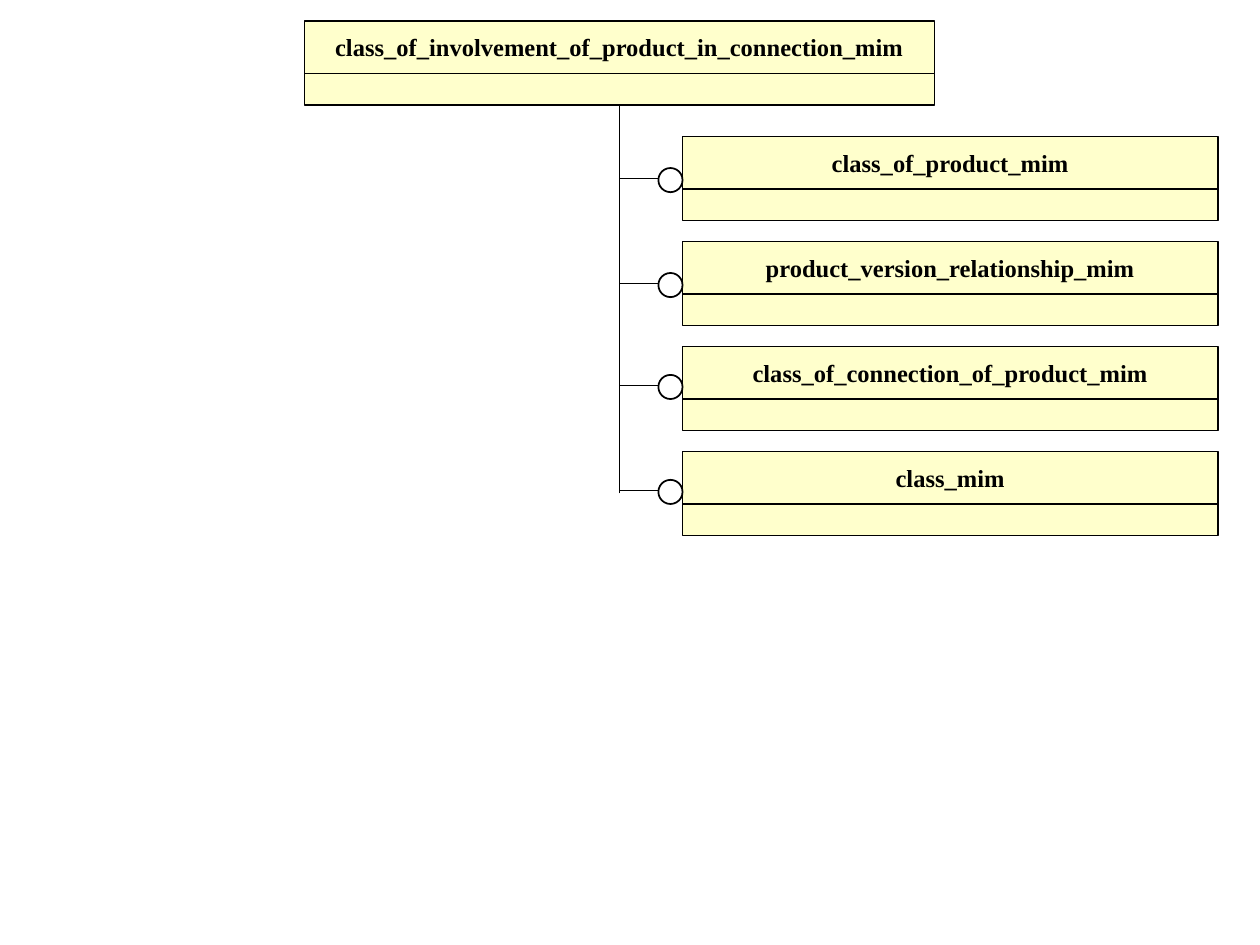
from dataclasses import dataclass

from pptx import Presentation
from pptx.dml.color import RGBColor
from pptx.enum.shapes import MSO_CONNECTOR, MSO_SHAPE
from pptx.enum.text import MSO_ANCHOR, PP_ALIGN
from pptx.oxml.ns import qn
from pptx.shapes.autoshape import Shape
from pptx.shapes.connector import Connector
from pptx.slide import Slide
from pptx.util import Emu, Pt

PX = 7620
BLACK, WHITE, CREAM = "000000", "FFFFFF", "FFFFCC"
NAME_H, BODY_H = 50, 30
TRUNK_X, TRUNK_END = 590, 470
CHILD_X, CHILD_Y, CHILD_W, PITCH = 650, 130, 510, 100
CIRCLE_D = 23


@dataclass
class Entity:
    name: str
    x: int
    y: int
    w: int


@dataclass
class Child:
    name: str
    circle_dy: int


ROOT = Entity("class_of_involvement_of_product_in_connection_mim", 290, 20, 600)
CHILDREN = [
    Child("class_of_product_mim", 30),
    Child("product_version_relationship_mim", 30),
    Child("class_of_connection_of_product_mim", 27),
    Child("class_mim", 27),
]


def px(n: int) -> Emu:
    """Turn pixels into EMU."""
    return Emu(n * PX)


def rgb(color: str) -> RGBColor:
    """Turn a hex string into a colour."""
    return RGBColor.from_string(color)


def add_shape(shapes, kind: MSO_SHAPE, x: int, y: int, w: int, h: int,
              fill: str, line_pt: float = 0.75) -> Shape:
    """Draw a filled, black-outlined shape without a shadow."""
    sp = shapes.add_shape(kind, px(x), px(y), px(w), px(h))
    sp.shadow.inherit = False
    sp.fill.solid()
    sp.fill.fore_color.rgb = rgb(fill)
    sp.line.color.rgb = rgb(BLACK)
    sp.line.width = Pt(line_pt)
    return sp


def add_line(s: Slide, x1: int, y1: int, x2: int, y2: int) -> Connector:
    """Draw a thin black straight connector."""
    c = s.shapes.add_connector(MSO_CONNECTOR.STRAIGHT, px(x1), px(y1), px(x2), px(y2))
    c.line.color.rgb = rgb(BLACK)
    c.line.width = Pt(0.75)
    sp_pr = c._element.spPr
    sp_pr.append(sp_pr.makeelement(qn("a:effectLst"), {}))
    return c


def add_entity(s: Slide, e: Entity) -> Shape:
    """Draw an entity as a grouped name box and body box; return the body."""
    shapes = s.shapes.add_group_shape().shapes
    sp = add_shape(shapes, MSO_SHAPE.RECTANGLE, e.x, e.y, e.w, NAME_H, CREAM)
    tf = sp.text_frame
    tf.text = e.name
    tf.word_wrap = False
    tf.vertical_anchor = MSO_ANCHOR.MIDDLE
    p = tf.paragraphs[0]
    p.alignment = PP_ALIGN.CENTER
    font = p.runs[0].font
    font.name, font.size, font.bold = "Times New Roman", Pt(14), True
    font.color.rgb = rgb(BLACK)
    return add_shape(shapes, MSO_SHAPE.RECTANGLE, e.x, e.y + NAME_H, e.w, BODY_H, CREAM)


def add_branch(s: Slide, circle_y: int) -> None:
    """Draw a branch from the trunk to a circle at the child's left side."""
    circle_x = CHILD_X - CIRCLE_D
    add_line(s, TRUNK_X, circle_y + 10, circle_x + 3, circle_y + 10)
    add_shape(s.shapes, MSO_SHAPE.OVAL, circle_x, circle_y, CIRCLE_D, CIRCLE_D, WHITE, 1)


def main() -> None:
    """Build the entity tree slide."""
    prs = Presentation()
    prs.slide_width, prs.slide_height = px(1200), px(900)
    s = prs.slides.add_slide(prs.slide_layouts[6])
    root_body = add_entity(s, ROOT)
    trunk = add_line(s, TRUNK_X, TRUNK_END, TRUNK_X, ROOT.y + NAME_H + BODY_H)
    trunk.end_connect(root_body, 2)
    for i, child in enumerate(CHILDREN):
        y = CHILD_Y + i * PITCH
        add_entity(s, Entity(child.name, CHILD_X, y, CHILD_W))
        add_branch(s, y + child.circle_dy)
    prs.save("out.pptx")


if __name__ == "__main__":
    main()
